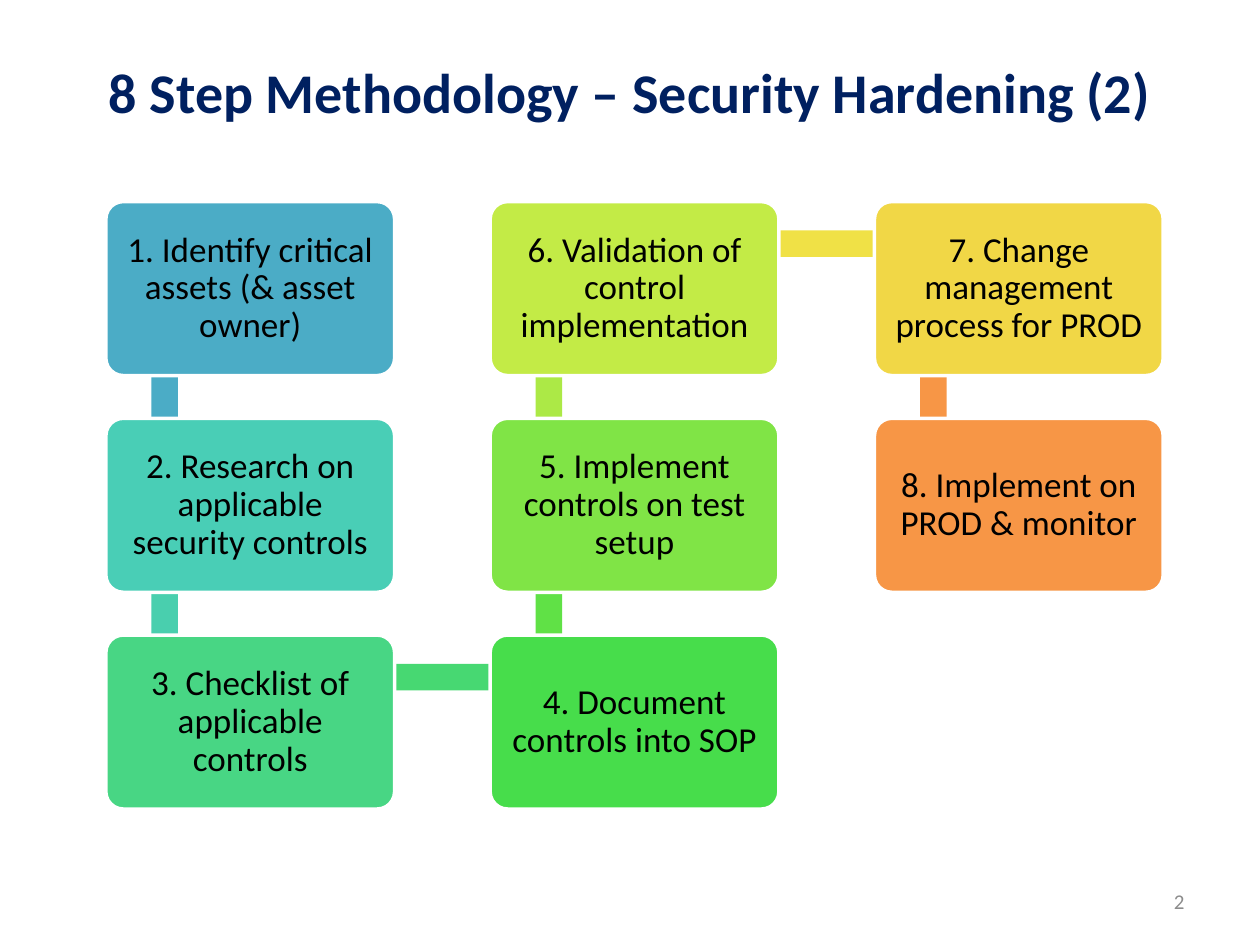
import math
from pptx import Presentation
from pptx import util as u
from pptx.dml.color import RGBColor
from pptx.enum import shapes, text

LEFT, TOP = 60.5, 115.2
COL_PITCH, ROW_PITCH = 219.6, 123.84
BOX_W, BOX_H = 165, 99.4
BAR_THICKNESS = 15.2
ANCHOR_X, ANCHOR_Y = 33.6, 24.1  # bar ends, measured from a box corner

# Label, column, row, box colour, colour of the bar to the next step
STEPS = [
    ("1. Identify critical assets (& asset owner)", 0, 0, "4BACC6", "4BACC6"),
    ("2. Research on applicable security controls", 0, 1, "49CEB6", "49CFAE"),
    ("3. Checklist of applicable controls", 0, 2, "48D684", "47D872"),
    ("4. Document controls into SOP", 1, 2, "47DD4B", "60E146"),
    ("5. Implement controls on test setup", 1, 1, "80E446", "ACE946"),
    ("6. Validation of control implementation", 1, 0, "C3EB46", "F0E146"),
    ("7. Change management process for PROD", 2, 0, "F1D746", "F79646"),
    ("8. Implement on PROD & monitor", 2, 1, "F79646", None),
]


def color(value):
    return RGBColor.from_string(value)


def points(*lengths):
    return [u.Pt(length) for length in lengths]


def write(shape, words, size, ink, align, inset=(7.2, 3.6), bold=False, spacing=None):
    frame = shape.text_frame
    across, down = points(*inset)
    settings = {
        "word_wrap": True, "vertical_anchor": text.MSO_ANCHOR.MIDDLE,
        "margin_left": across, "margin_right": across,
        "margin_top": down, "margin_bottom": down,
    }
    for name, value in settings.items():
        setattr(frame, name, value)
    paragraph = frame.paragraphs[0]
    paragraph.text = words
    paragraph.alignment = align
    paragraph.line_spacing = spacing
    for name, value in {"name": "Calibri", "size": u.Pt(size), "bold": bold}.items():
        setattr(paragraph.font, name, value)
    paragraph.font.color.rgb = color(ink)


def add_block(slide, kind, frame, fill):
    block = slide.shapes.add_shape(kind, *points(*frame))
    block.shadow.inherit = False
    block.fill.solid()
    block.fill.fore_color.rgb = color(fill)
    block.line.fill.background()
    return block


def corner(column, row):
    return LEFT + column * COL_PITCH, TOP + row * ROW_PITCH


def add_bar(slide, start, end, fill):
    dx, dy = end[0] - start[0], end[1] - start[1]
    length = math.hypot(dx, dy) - 0.7
    center_x = start[0] + ANCHOR_X + dx / 2
    center_y = start[1] + ANCHOR_Y + dy / 2
    frame = (center_x - length / 2, center_y - BAR_THICKNESS / 2, length, BAR_THICKNESS)
    bar = add_block(slide, shapes.MSO_SHAPE.RECTANGLE, frame, fill)
    bar.rotation = math.degrees(math.atan2(dy, dx)) % 360


def add_step(slide, label, position, fill):
    box = add_block(slide, shapes.MSO_SHAPE.ROUNDED_RECTANGLE,
                    (*position, BOX_W, BOX_H), fill)
    box.adjustments[0] = 0.1
    box.line.color.rgb = color("FFFFFF")
    box.line.width = u.Pt(2)
    write(box, label, 20, "000000", text.PP_ALIGN.CENTER, inset=(8.7, 8.7), spacing=0.9)


def main():
    deck = Presentation()
    deck.slide_width, deck.slide_height = points(720, 540)
    slide = deck.slides.add_slide(deck.slide_layouts[6])

    # Page number and title
    page_number = slide.shapes.add_textbox(*points(516, 500.5, 168, 28.75))
    write(page_number, "2", 12, "8C8C8C", text.PP_ALIGN.RIGHT)
    title = slide.shapes.add_textbox(*points(36, 16.6, 648, 70.6))
    write(title, "8 Step Methodology – Security Hardening (2)", 32, "002060",
          text.PP_ALIGN.CENTER, bold=True)

    # Steps, each with the bar to its successor behind it
    corners = [corner(column, row) for _, column, row, _, _ in STEPS]
    for index, (label, _, _, fill, bar_fill) in enumerate(STEPS):
        if bar_fill:
            add_bar(slide, corners[index], corners[index + 1], bar_fill)
        add_step(slide, label, corners[index], fill)

    deck.save("out.pptx")


if __name__ == "__main__":
    main()
